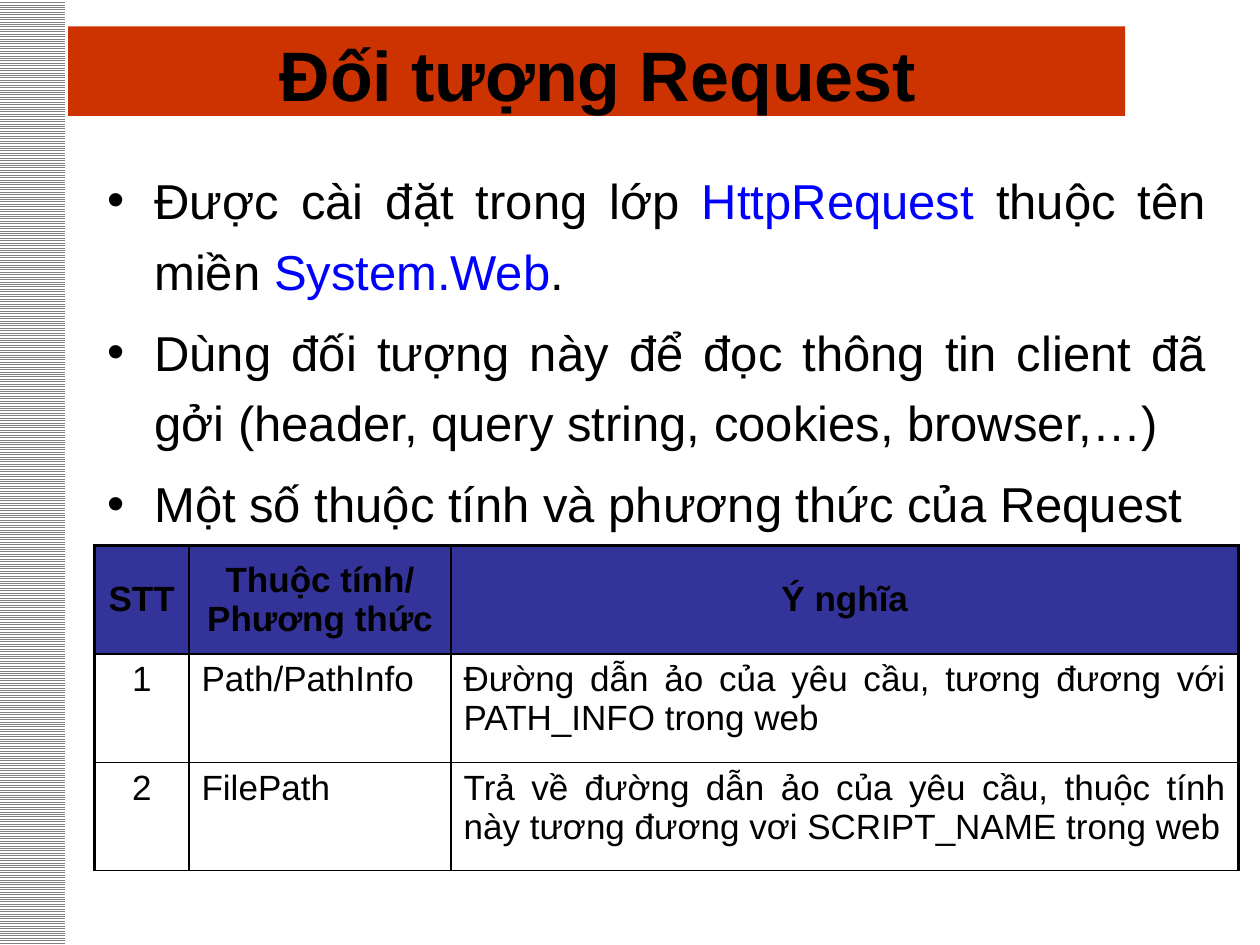
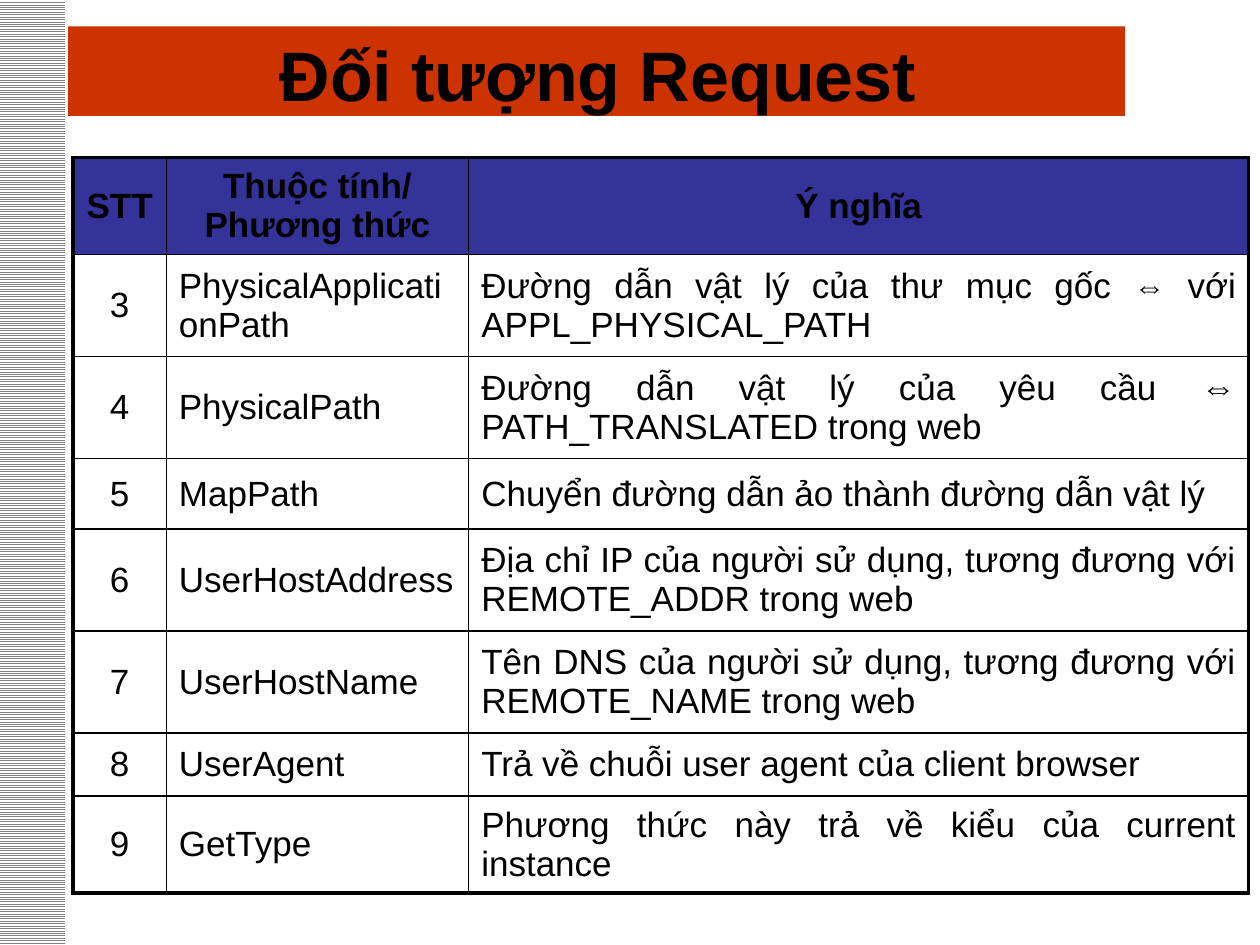
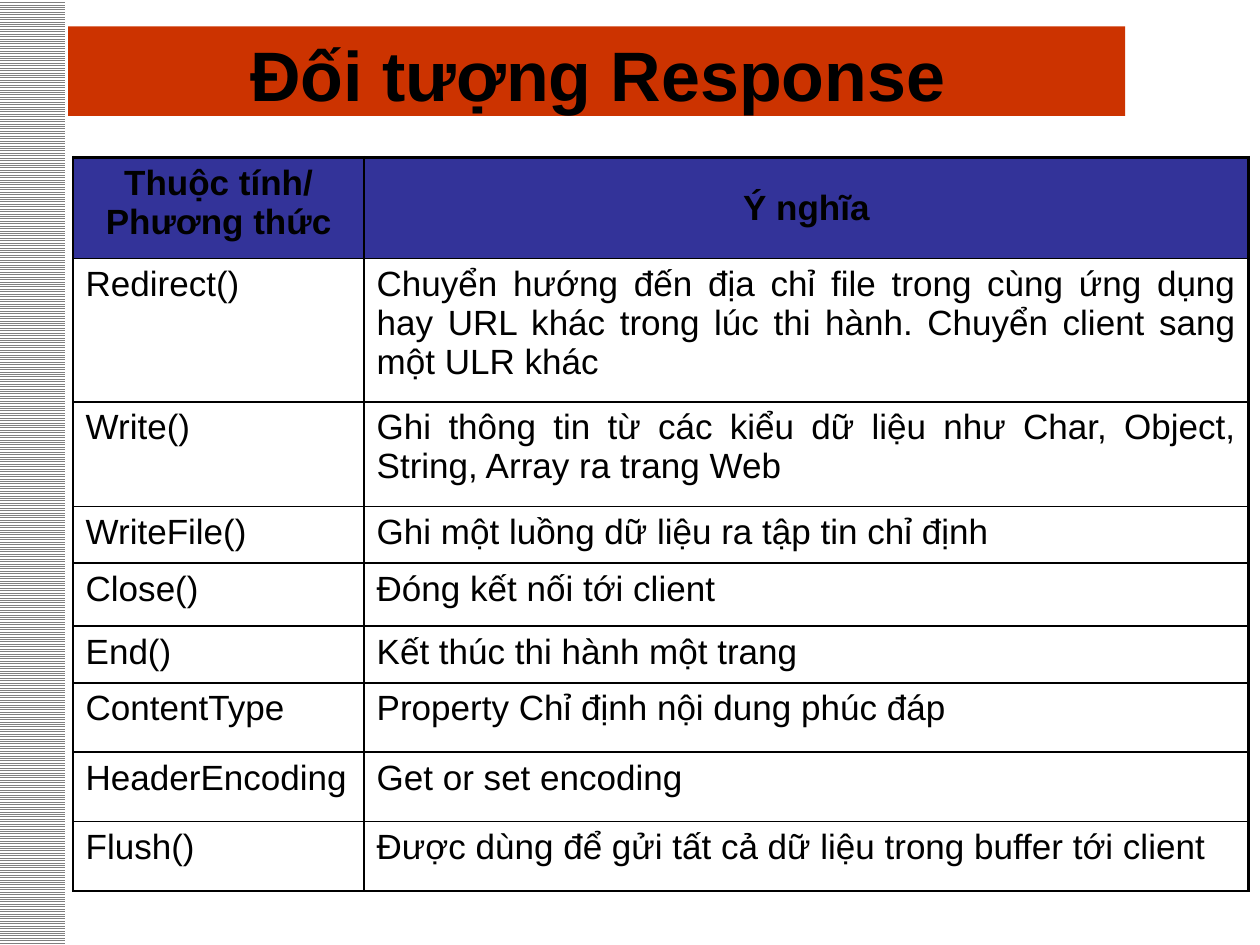
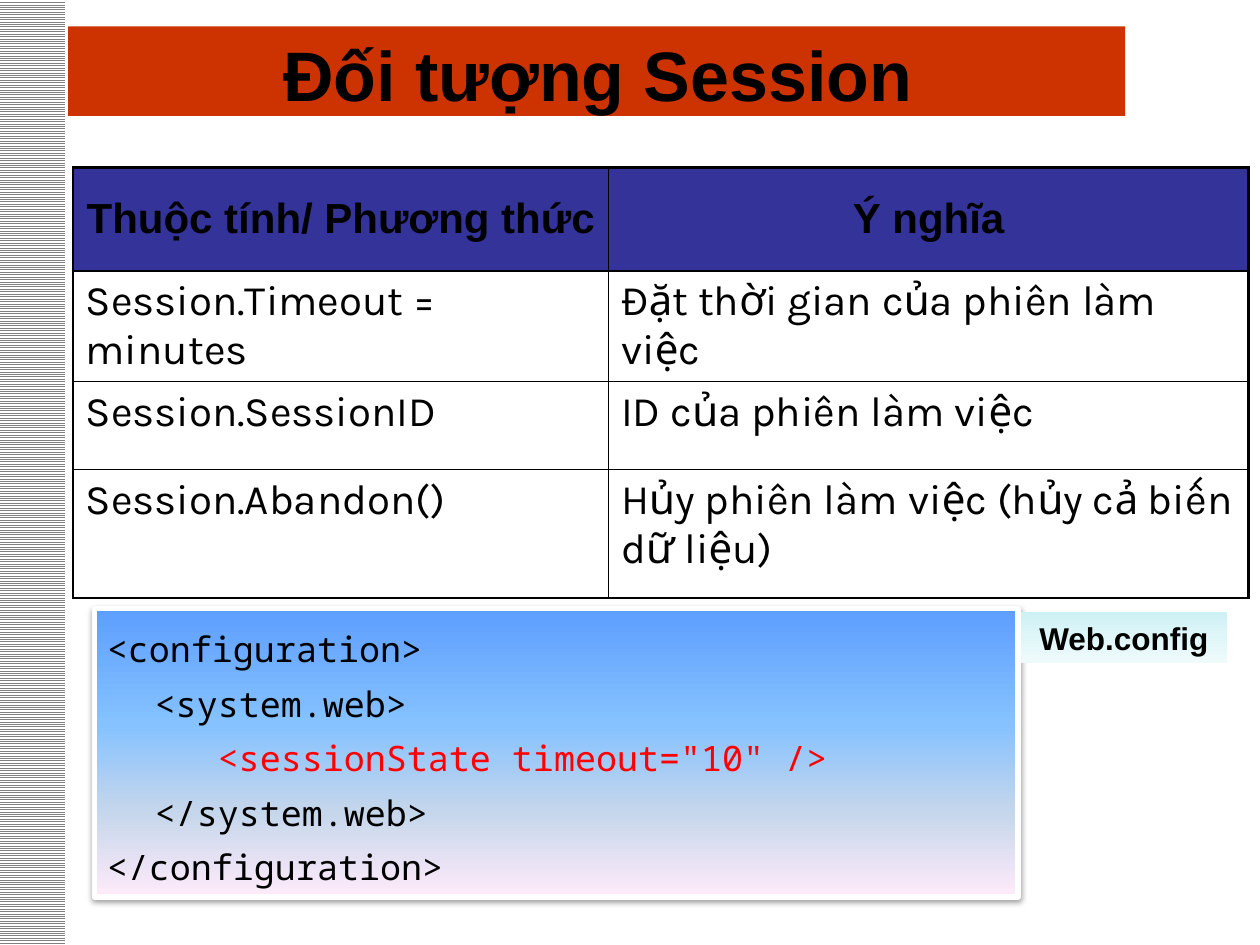
from lxml import etree
from pptx import Presentation
from pptx.dml.color import RGBColor
from pptx.enum.dml import MSO_PATTERN
from pptx.enum.shapes import MSO_SHAPE
from pptx.enum.text import MSO_ANCHOR, MSO_AUTO_SIZE, PP_ALIGN
from pptx.oxml.ns import qn
from pptx.util import Inches, Pt

LEFT, CENTER, JUSTIFY = PP_ALIGN.LEFT, PP_ALIGN.CENTER, PP_ALIGN.JUSTIFY
TOP, MIDDLE, BOTTOM = MSO_ANCHOR.TOP, MSO_ANCHOR.MIDDLE, MSO_ANCHOR.BOTTOM
RECT = MSO_SHAPE.RECTANGLE
HATCH = MSO_PATTERN.LIGHT_HORIZONTAL
TITLE_AND_BODY, TITLE_ONLY = 1, 5

COLORS = {
    "text": "000000", "band": "CC3300", "hatch": "808080", "paper": "FFFFFF",
    "header": "333399", "link": "0000FF", "alert": "FF0000",
}
CODE_GRADIENT = [(0, "5E9EFF"), (40, "85C2FF"), (70, "C4D6EB"), (100, "FFEBFA")]
LABEL_GRADIENT = [(0, "CEF1F4"), (50, "DFF6F8"), (100, "EFFAFB")]
THIN, THICK = 1, 2.25

TITLE_FONT = {"size": 40, "bold": True}
BODY_FONT = {"size": 28}
CODE_FONT = {"size": 20, "name": "Noto Sans Mono"}
LABEL_FONT = {"size": 18, "bold": True}
LINK = {"color": "link"}
SIGN = {"size": 18, "bold": True}

# Content: a paragraph is a string or a list of (text, format) runs
NAME, MEANING = "Thuộc tính/ Phương thức", "Ý nghĩa"

REQUEST_POINTS = [
    [("Được cài đặt trong lớp ", {}), ("HttpRequest ", LINK),
     ("thuộc tên miền ", {}), ("System.Web", LINK), (".", {})],
    "Dùng đối tượng này để đọc thông tin client đã gởi "
    "(header, query string, cookies, browser,…)",
    "Một số thuộc tính và phương thức của Request",
]

REQUEST_FIRST = {
    "at": (0.75, 4.33), "cols": [0.75, 2.08, 6.25], "heights": [0.86] * 3,
    "aligns": [CENTER, LEFT, JUSTIFY], "left": THICK,
    "rows": [
        ("STT", NAME, MEANING),
        ("1", "Path/PathInfo",
         "Ðường dẫn ảo của yêu cầu, tương đương với PATH_INFO trong web"),
        ("2", "FilePath",
         "Trả về đường dẫn ảo của yêu cầu, thuộc tính này tương đương vơi "
         "SCRIPT_NAME trong web"),
    ],
}

REQUEST_REST = {
    "at": (0.58, 1.25), "cols": [0.74, 2.4, 6.19],
    "heights": [0.77, 0.81, 0.81, 0.56, 0.81, 0.81, 0.5, 0.77],
    "aligns": [CENTER, LEFT, JUSTIFY], "left": THICK, "bottom": THICK,
    "anchor": MIDDLE,
    "rows": [
        ("STT", NAME, MEANING),
        ("3", "PhysicalApplicationPath",
         [("Ðường dẫn vật lý của thư mục gốc ", {}), ("⇔", SIGN),
          (" với APPL_PHYSICAL_PATH", {})]),
        ("4", "PhysicalPath",
         [("Ðường dẫn vật lý của yêu cầu ", {}), ("⇔", {"bold": True}),
          (" PATH_TRANSLATED trong web", {})]),
        ("5", "MapPath", "Chuyển đường dẫn ảo thành đường dẫn vật lý"),
        ("6", "UserHostAddress",
         "Ðịa chỉ IP của người sử dụng, tương đương với REMOTE_ADDR trong web"),
        ("7", "UserHostName",
         "Tên DNS của người sử dụng, tương đương với REMOTE_NAME trong web"),
        ("8", "UserAgent", "Trả về chuỗi user agent của client browser"),
        ("9", "GetType", "Phương thức này trả về kiểu của current instance"),
    ],
}

RESPONSE = {
    "at": (0.58, 1.25), "cols": [2.31, 7.02],
    "heights": [0.8, 1.14, 0.83, 0.45, 0.5, 0.45, 0.55, 0.55, 0.55],
    "aligns": [LEFT, JUSTIFY], "header_anchors": [TOP, MIDDLE],
    "rows": [
        (NAME, MEANING),
        ("Redirect()",
         "Chuyển hướng đến địa chỉ file trong cùng ứng dụng hay URL khác trong "
         "lúc thi hành. Chuyển client sang một ULR khác"),
        ("Write()",
         "Ghi thông tin từ các kiểu dữ liệu như Char, Object, String, Array "
         "ra trang Web"),
        ("WriteFile()", "Ghi một luồng dữ liệu ra tập tin chỉ định"),
        ("Close()", "Đóng kết nối tới client"),
        ("End()", "Kết thúc thi hành một trang"),
        ("ContentType", "Property Chỉ định nội dung phúc đáp"),
        ("HeaderEncoding", "Get or set encoding"),
        ("Flush()", "Được dùng để gửi tất cả dữ liệu trong buffer tới client"),
    ],
}

SESSION = {
    "at": (0.58, 1.33), "cols": [4.25, 5.08], "heights": [0.82, 0.7, 0.7, 1.02],
    "aligns": [LEFT, LEFT], "size": 24, "font": "Karla",
    "rows": [
        (NAME, MEANING),
        ("Session.Timeout = minutes", "Đặt thời gian của phiên làm việc"),
        ("Session.SessionID", "ID của phiên làm việc"),
        ("Session.Abandon()", "Hủy phiên làm việc (hủy cả biến dữ liệu)"),
    ],
}

CONFIG_CODE = [
    "<configuration>",
    "\t<system.web>",
    [("\t\t", {}), ('<sessionState timeout="10" />', {"color": "alert"})],
    "\t</system.web>",
    "</configuration>",
]

SLIDES = [
    {"title": "Đối tượng Request", "points": REQUEST_POINTS, "table": REQUEST_FIRST},
    {"title": "Đối tượng Request", "table": REQUEST_REST},
    {"title": "Đối tượng Response", "table": RESPONSE},
    {"title": "Đối tượng Session", "table": SESSION, "code": CONFIG_CODE,
     "label": "Web.config"},
]


def rgb(name):
    return RGBColor.from_string(COLORS[name])


def place(sp, *box):
    for side, value in zip(("left", "top", "width", "height"), box):
        setattr(sp, side, Inches(value))


def write(p, content, base, **layout):
    """Fill one paragraph with runs and set its paragraph format."""
    for key, value in layout.items():
        setattr(p, key, value)
    runs = [(content, {})] if isinstance(content, str) else content
    for text, extra in runs:
        fmt = {"name": "Arial", "bold": False, "color": "text", **base, **extra}
        r = p.add_run()
        r.text = text
        r.font.color.rgb = rgb(fmt.pop("color"))
        fmt["size"] = Pt(fmt["size"])
        for key, value in fmt.items():
            setattr(r.font, key, value)


def paragraphs(tf, items):
    for i, item in enumerate(items):
        yield i, item, tf.add_paragraph() if i else tf.paragraphs[0]


def add_rect(s, *box):
    sp = s.shapes.add_shape(RECT, *map(Inches, box))
    sp.shadow.inherit = False
    sp.line.fill.background()
    return sp


def fill_gradient(sp, stops):
    sp.fill.gradient()
    sp.fill.gradient_angle = 270
    stop_list = sp._element.spPr.find(".//" + qn("a:gsLst"))
    for old in list(stop_list):
        stop_list.remove(old)
    for pos, color in stops:
        stop = etree.SubElement(stop_list, qn("a:gs"), pos=str(pos * 1000))
        etree.SubElement(stop, qn("a:srgbClr"), val=color)


def add_shadow(sp):
    effects = sp._element.spPr.find(qn("a:effectLst"))
    shadow = etree.SubElement(effects, qn("a:outerShdw"), blurRad=str(Pt(3.1)),
                              dist=str(Pt(1.6)), dir="5400000", rotWithShape="0")
    color = etree.SubElement(shadow, qn("a:srgbClr"), val=COLORS["text"])
    etree.SubElement(color, qn("a:alpha"), val="38000")


def add_backdrop(prs, s):
    """Draw the title band and the hatched edge, then move them to the master."""
    band = add_rect(s, 0.54, 0.21, 8.39, 0.71)
    band.fill.solid()
    band.fill.fore_color.rgb = rgb("band")
    edge = add_rect(s, -0.01, 0, 0.53, 7.5)
    edge.fill.patterned()
    edge.fill.pattern = HATCH
    edge.fill.fore_color.rgb = rgb("hatch")
    edge.fill.back_color.rgb = rgb("paper")
    tree = prs.slide_master.shapes._spTree
    for i, sp in enumerate((band, edge)):
        tree.insert(2 + i, sp._element)


def add_title(s, text):
    sp = s.shapes.title
    place(sp, 0.58, 0.17, 8.33, 0.75)
    tf = sp.text_frame
    tf.auto_size = MSO_AUTO_SIZE.NONE
    tf.vertical_anchor = BOTTOM
    tf.margin_bottom = 0
    write(tf.paragraphs[0], text, TITLE_FONT, alignment=CENTER)


def add_points(s, points):
    sp = s.placeholders[1]
    place(sp, 0.75, 1.17, 8.92, 5.7)
    tf = sp.text_frame
    tf.auto_size = MSO_AUTO_SIZE.NONE
    tf.margin_top = Inches(0.09)
    for i, point, p in paragraphs(tf, points):
        write(p, point, BODY_FONT, alignment=JUSTIFY, line_spacing=1.2,
              space_before=Pt(3 if i else 0), space_after=Pt(3))


def set_borders(cell, widths):
    tcPr = cell._tc.get_or_add_tcPr()
    for side, width in widths.items():
        ln = etree.SubElement(tcPr, qn("a:ln" + side), w=str(Pt(width)))
        fill = etree.SubElement(ln, qn("a:solidFill"))
        etree.SubElement(fill, qn("a:srgbClr"), val=COLORS["text"])


def add_grid(s, spec):
    rows, cols, heights = spec["rows"], spec["cols"], spec["heights"]
    size = sum(cols), sum(heights)
    table = s.shapes.add_table(len(rows), len(cols),
                               *map(Inches, spec["at"] + size)).table
    table.first_row = table.horz_banding = False
    for col, width in zip(table.columns, cols):
        col.width = Inches(width)
    for row, height in zip(table.rows, heights):
        row.height = Inches(height)

    header_anchors = spec.get("header_anchors", [MIDDLE] * len(cols))
    for i, row in enumerate(rows):
        for j, content in enumerate(row):
            cell, header = table.cell(i, j), i == 0
            set_borders(cell, {
                "L": spec.get("left", THIN) if j == 0 else THIN,
                "R": THICK if j == len(cols) - 1 else THIN,
                "T": THICK if header else THIN,
                "B": spec.get("bottom", THIN) if i == len(rows) - 1 else THIN,
            })
            font = {"size": spec.get("size", 20), "bold": header}
            if header:
                cell.fill.solid()
                cell.fill.fore_color.rgb = rgb("header")
                cell.vertical_anchor = header_anchors[j]
            else:
                cell.fill.background()
                cell.vertical_anchor = spec.get("anchor", TOP)
                font["name"] = spec.get("font", "Arial")
            write(cell.text_frame.paragraphs[0], content, font,
                  alignment=CENTER if header else spec["aligns"][j])


def add_code(s, lines):
    sp = add_rect(s, 0.75, 4.83, 7.33, 2.29)
    fill_gradient(sp, CODE_GRADIENT)
    sp.line.color.rgb = rgb("paper")
    sp.line.width = Pt(3)
    add_shadow(sp)
    tf = sp.text_frame
    tf.vertical_anchor = TOP
    for _, line, p in paragraphs(tf, lines):
        pPr = p._p.get_or_add_pPr()
        pPr.set("marL", str(Inches(0.38)))
        pPr.set("indent", str(Inches(-0.38)))
        write(p, line, CODE_FONT, alignment=LEFT, line_spacing=1.3)


def add_label(s, text):
    sp = add_rect(s, 8.1, 4.86, 1.64, 0.4)
    fill_gradient(sp, LABEL_GRADIENT)
    write(sp.text_frame.paragraphs[0], text, LABEL_FONT, alignment=CENTER)


def main():
    prs = Presentation()
    prs.slide_width, prs.slide_height = Inches(10), Inches(7.5)
    parts = {"points": add_points, "table": add_grid, "code": add_code,
             "label": add_label}
    for i, content in enumerate(SLIDES):
        layout = TITLE_AND_BODY if "points" in content else TITLE_ONLY
        s = prs.slides.add_slide(prs.slide_layouts[layout])
        if i == 0:
            add_backdrop(prs, s)
        add_title(s, content["title"])
        for key, add_part in parts.items():
            if key in content:
                add_part(s, content[key])
    prs.save("out.pptx")


if __name__ == "__main__":
    main()
